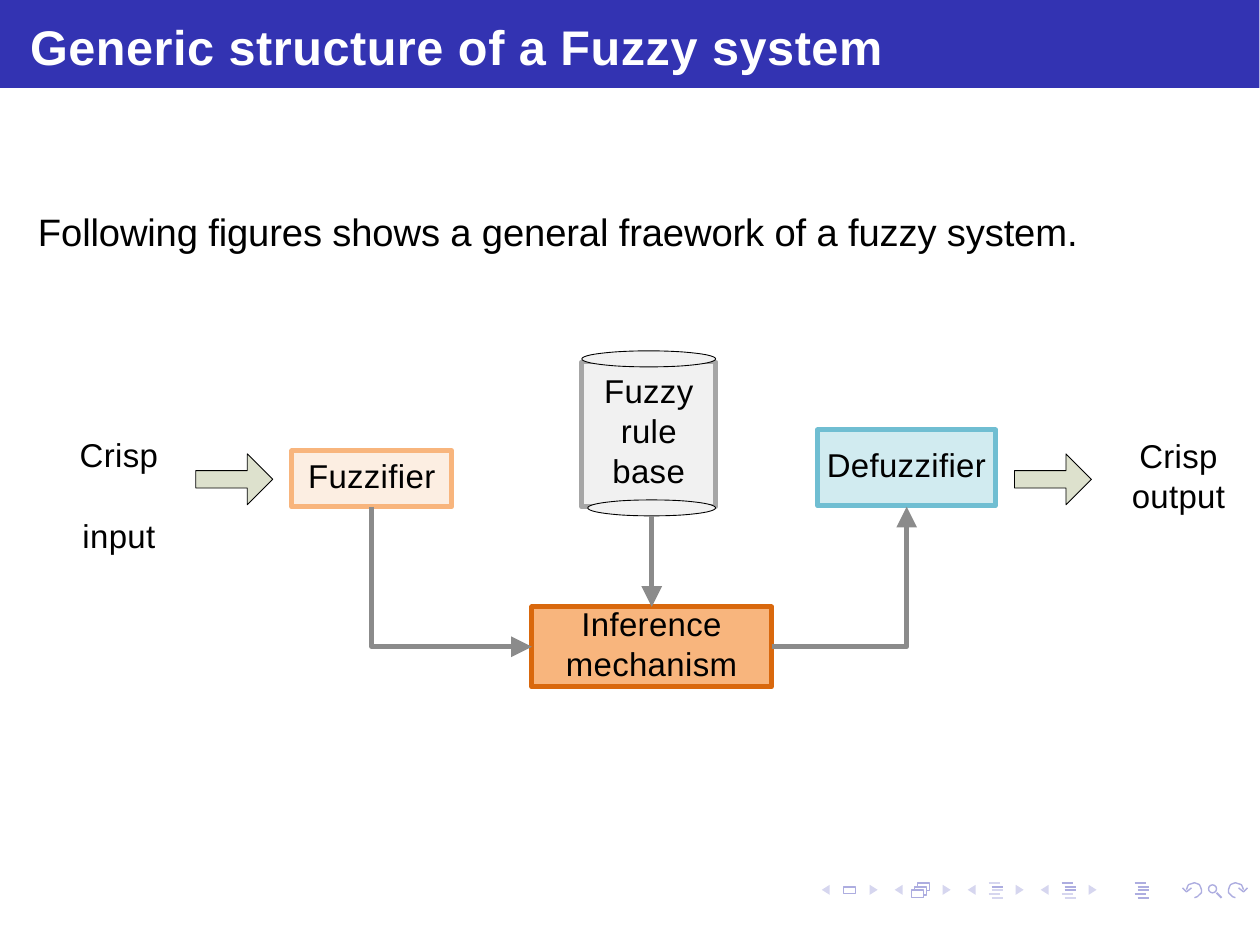
from lxml import etree
from pptx import Presentation
from pptx.dml.color import RGBColor
from pptx.enum.shapes import MSO_CONNECTOR, MSO_SHAPE
from pptx.enum.text import MSO_ANCHOR, MSO_AUTO_SIZE, PP_ALIGN
from pptx.oxml.ns import qn
from pptx.util import Emu, Pt

RECTANGLE, OVAL, RIGHT_ARROW = MSO_SHAPE.RECTANGLE, MSO_SHAPE.OVAL, MSO_SHAPE.RIGHT_ARROW
STRAIGHT = MSO_CONNECTOR.STRAIGHT
MIDDLE, NO_AUTOFIT = MSO_ANCHOR.MIDDLE, MSO_AUTO_SIZE.NONE
LEFT, CENTER = PP_ALIGN.LEFT, PP_ALIGN.CENTER

EMU_PER_PX = 3657.6
SLIDE_WIDTH, SLIDE_HEIGHT = Pt(363), Pt(272.5)
TITLE_ONLY = 5
FONT = "Arial"
BLACK = RGBColor(0x00, 0x00, 0x00)
WHITE = RGBColor(0xFF, 0xFF, 0xFF)
BANNER_BLUE = RGBColor(0x33, 0x33, 0xB2)
ICON = RGBColor(0xAD, 0xAD, 0xE0)
ICON_LIGHT = RGBColor(0xD6, 0xD6, 0xEF)
PEACH = RGBColor(0xFC, 0xEE, 0xE2)
ORANGE = RGBColor(0xF8, 0xB5, 0x7D)
DARK_ORANGE = RGBColor(0xD9, 0x68, 0x0D)
PALE_TEAL = RGBColor(0xD1, 0xEB, 0xF0)
TEAL = RGBColor(0x70, 0xBE, 0xD2)
PALE_GRAY = RGBColor(0xF1, 0xF1, 0xF1)
BORDER_GRAY = RGBColor(0xA6, 0xA6, 0xA6)
FLOW_GRAY = RGBColor(0x8B, 0x8B, 0x8B)
SAGE = RGBColor(0xDD, 0xE1, 0xCD)


def px(value):
    return Emu(round(value * EMU_PER_PX))


def style_line(shape, color, width):
    if color is None:
        shape.line.fill.background()
    else:
        shape.line.color.rgb = color
        shape.line.width = Pt(width)


def style_shape(shape, fill, line, width):
    shape.shadow.inherit = False
    if fill is None:
        shape.fill.background()
    else:
        shape.fill.solid()
        shape.fill.fore_color.rgb = fill
    style_line(shape, line, width)


def add_preset(slide, kind, box, fill=None, line=None, width=1.4):
    shape = slide.shapes.add_shape(kind, *map(px, box))
    style_shape(shape, fill, line, width)
    return shape


def add_outline(slide, points, fill=None, line=None, width=0.4):
    builder = slide.shapes.build_freeform(*points[0], scale=EMU_PER_PX)
    builder.add_line_segments(points[1:], close=fill is not None)
    shape = builder.convert_to_shape()
    style_shape(shape, fill, line, width)
    return shape


def add_segment(slide, start, end, color, width):
    connector = slide.shapes.add_connector(STRAIGHT, *map(px, (*start, *end)))
    style_line(connector, color, width)
    etree.SubElement(connector.element.spPr, qn("a:effectLst"))
    return connector


def add_arrowhead(shape):
    line = shape.element.spPr.find(qn("a:ln"))
    etree.SubElement(line, qn("a:tailEnd"), type="triangle")


def write_lines(shape, lines, size=9.5, color=BLACK, bold=False, align=CENTER,
                spacing=10, pitch=36, gap=4, lift=0):
    frame = shape.text_frame
    frame.auto_size = NO_AUTOFIT
    frame.word_wrap = True
    frame.vertical_anchor = MIDDLE
    frame.margin_left = frame.margin_top = frame.margin_right = 0
    frame.margin_bottom = px(2 * lift)
    for index, line in enumerate(lines):
        paragraph = frame.add_paragraph() if index else frame.paragraphs[0]
        paragraph.alignment = align
        paragraph.space_before = px(gap) if index else Pt(0)
        if pitch:
            paragraph.line_spacing = px(pitch)
        run = paragraph.add_run()
        run.text = line
        run.font.name = FONT
        run.font.size = Pt(size)
        run.font.bold = bold
        run.font.color.rgb = color
        run._r.get_or_add_rPr().set("spc", str(spacing))


def add_label(slide, box, lines, **text_format):
    write_lines(slide.shapes.add_textbox(*map(px, box)), lines, **text_format)


def add_title_banner(slide, box):
    left, top, width, height = box
    banner = add_preset(slide, RECTANGLE, box, BANNER_BLUE)
    title = slide.shapes.title
    title.element.addprevious(banner.element)
    title.left, title.top = px(left + 30), px(top + 12)
    title.width, title.height = px(862), px(height - 20)
    write_lines(title, ["Generic structure of a Fuzzy system"], size=14,
                color=WHITE, bold=True, align=LEFT, spacing=13, pitch=None)


def add_rule_base(slide, box):
    left, top, width, height = box
    body = add_preset(slide, RECTANGLE, (left, top + 12, width, height - 21),
                      PALE_GRAY, BORDER_GRAY)
    write_lines(body, ["Fuzzy", "rule", "base"], lift=2)
    for inset, offset in ((0, 1), (6, height - 16)):
        add_preset(slide, OVAL, (left + inset, top + offset, width - inset, 16),
                   PALE_GRAY, BLACK, 0.25)


def add_fuzzy_system(slide, box):
    left, top, width, height = box
    blocks = (
        (["Fuzzifier"], (222, 101, 160, 56), PEACH, ORANGE),
        (["Defuzzifier"], (748, 80, 178, 76), PALE_TEAL, TEAL),
        (["Inference", "mechanism"], (462, 257, 240, 80), ORANGE, DARK_ORANGE),
    )
    for lines, (x, y, block_width, block_height), fill, line in blocks:
        block = add_preset(slide, RECTANGLE,
                           (left + x, top + y, block_width, block_height), fill, line)
        write_lines(block, lines, lift=2)

    for x in (126, 945):
        arrow = add_preset(slide, RIGHT_ARROW, (left + x, top + 104, 77, 51),
                           SAGE, BLACK, 0.25)
        arrow.adjustments[0] = 0.34

    add_label(slide, (left, top + 87, 98, 120), ["Crisp", "input"], gap=45)
    add_label(slide, (left + width - 110, top + 87, 110, 80), ["Crisp", "output"])

    add_rule_base(slide, (left + 512, top, 134, 166))
    routes = (
        ((302, 157), (302, 297), (462, 297)),
        ((702, 297), (837, 297), (837, 157)),
    )
    for route in routes:
        points = [(left + x, top + y) for x, y in route]
        add_arrowhead(add_outline(slide, points, line=FLOW_GRAY, width=1.4))
    add_arrowhead(add_segment(slide, (left + 582, top + 166), (left + 582, top + 257),
                              FLOW_GRAY, 1.4))


def add_navigation(slide, box):
    left, top, width, height = box
    middle = top + height // 2

    def draw(points, fill=None, line=None):
        add_outline(slide, [(left + x, top + y) for x, y in points], fill, line)

    for group in range(4):
        start = 73 * group
        for tip, base in ((start, start + 8), (start + 56, start + 48)):
            draw([(base, 2), (tip, 7), (base, 12)], ICON_LIGHT)

    add_preset(slide, RECTANGLE, (left + 22, middle - 3, 12, 7), None, ICON, 0.4)
    add_preset(slide, RECTANGLE, (left + 90, middle, 12, 8), None, ICON, 0.4)
    for x, y in ((93, 4), (96, 0)):
        draw([(x, y + 3), (x, y), (x + 12, y), (x + 12, y + 8), (x + 9, y + 8)], line=ICON)

    rows = ((0, 0), (3, 4), (3, 7), (0, 11), (3, 15))
    for x, dark_rows in ((167, (1,)), (240, (0, 1, 2)), (313, range(5))):
        for row, (indent, y) in enumerate(rows):
            start = left + x + indent
            add_segment(slide, (start, top + y), (start + 11, top + y),
                        ICON if row in dark_rows else ICON_LIGHT, 0.6)

    add_preset(slide, OVAL, (left + 387, top + 2, 8, 8), None, ICON, 0.4)
    add_segment(slide, (left + 395, top + 10), (left + 400, top + 15), ICON, 0.6)
    arc = [(373, 15), (376, 14), (378, 12), (380, 10), (380, 7), (379, 4), (378, 2),
           (376, 1), (373, 0), (370, 1), (367, 2), (366, 4), (365, 7)]
    head = [(370, 5), (365, 9), (361, 5)]
    for stroke in (arc, head):
        draw(stroke, line=ICON)
        draw([(width + 361 - x, y) for x, y in stroke], line=ICON)


def main():
    presentation = Presentation()
    presentation.slide_width, presentation.slide_height = SLIDE_WIDTH, SLIDE_HEIGHT
    slide = presentation.slides.add_slide(presentation.slide_layouts[TITLE_ONLY])
    add_navigation(slide, (822, 883, 426, 15))
    add_title_banner(slide, (0, 0, 1260, 88))
    add_label(slide, (38, 205, 1044, 52),
              ["Following figures shows a general fraework of a fuzzy system."],
              size=11, align=LEFT, spacing=-7, pitch=None)
    add_fuzzy_system(slide, (70, 350, 1164, 337))
    presentation.save("out.pptx")


if __name__ == "__main__":
    main()
